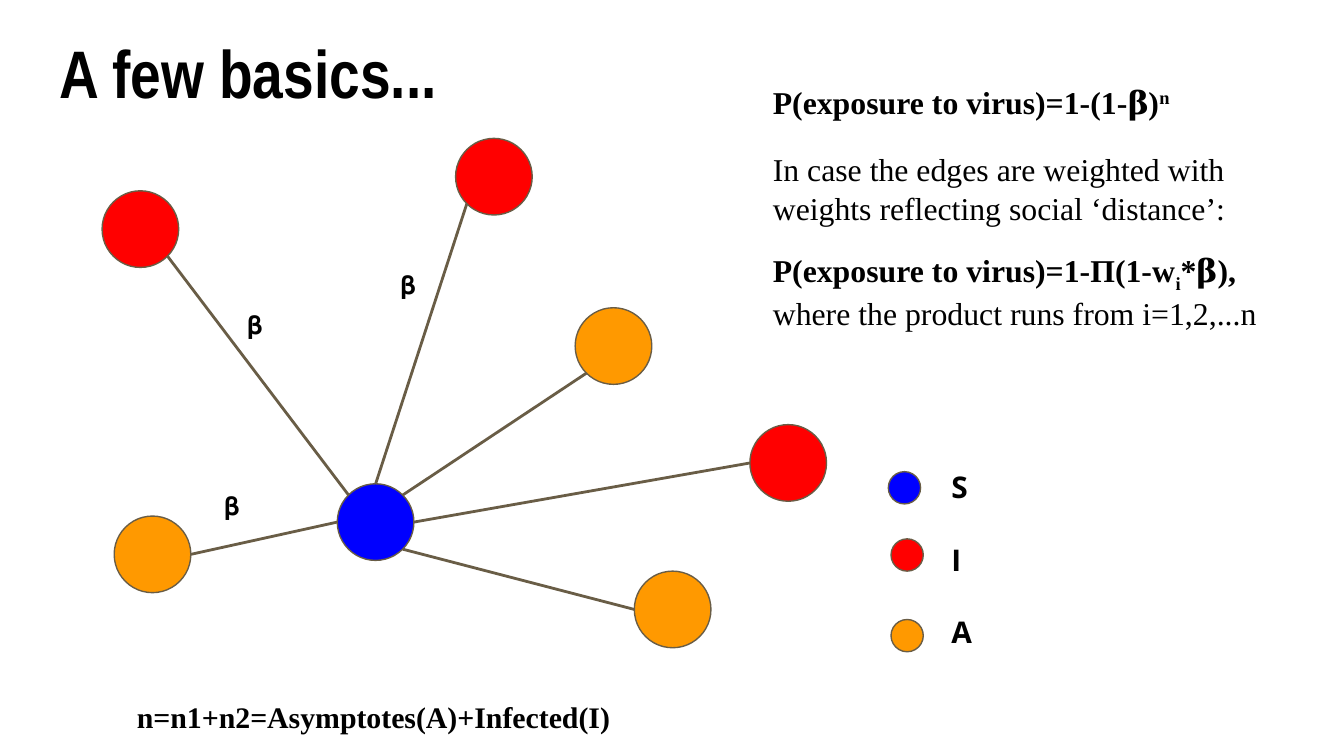
"""Build a slide on virus exposure in a weighted contact network."""
import math

from lxml import etree
from pptx import Presentation
from pptx import util as u
from pptx.dml.color import RGBColor
from pptx.enum import shapes, text
from pptx.oxml import ns

COLORS = {"S": "0000FF", "I": "FF0000", "A": "FF9900", "line": "695D46", "text": "000000"}
SIZE = 0.57
HUB = (2.51, 3.6)
NODES = [
    ("I", 0.76, 1.42, 45, 225),
    ("I", 3.39, 1.03, 135, 270),
    ("A", 4.28, 2.29, 135, 315),
    ("A", 0.85, 3.84, 0, 180),
    ("A", 4.72, 4.25, 180, 45),
    ("I", 5.58, 3.16, 180, 0),
]
BODY = [
    (0, 1.15, [("P(exposure to virus)=1-(1-𝛃)", True, 0), ("n", True, 30000)]),
    (16, 1.0, [("In case the edges are weighted with weights reflecting social ‘distance’:", False, 0)]),
    (13, 1.0, [("P(exposure to virus)=1-Π(1-w", True, 0), ("i", True, -25000),
               ("*𝛃), ", True, 0), ("where the product runs from i=1,2,...n", False, 0)]),
]
LABELS = [(2.88, 1.86, 0.32), (1.57, 3.51, 0.4), (1.74, 2.16, 0.32)]
LEGEND = [("S", 6.61, 3.51), ("I", 6.63, 4.01), ("A", 6.63, 4.61)]


def write(sp, box, lines, font, size, bold):
    sp.left, sp.top, sp.width, sp.height = [u.Inches(v) for v in box]
    tf = sp.text_frame
    tf.word_wrap = True
    tf.auto_size = text.MSO_AUTO_SIZE.NONE
    tf.vertical_anchor = text.MSO_ANCHOR.TOP
    tf.margin_left = tf.margin_right = tf.margin_top = tf.margin_bottom = u.Inches(0.1)
    tf.text = "\n".join(lines)
    for p in tf.paragraphs:
        p.alignment = text.PP_ALIGN.LEFT
        for r in p.runs:
            r.font.name, r.font.size, r.font.bold = font, u.Pt(size), bold
            r.font.color.rgb = RGBColor.from_string(COLORS["text"])
    return tf


def circle(kind, x, y, size, color):
    sp = s.shapes.add_shape(kind, u.Inches(x), u.Inches(y), u.Inches(size), u.Inches(size))
    sp.shadow.inherit = False
    sp.fill.solid()
    sp.fill.fore_color.rgb = RGBColor.from_string(COLORS[color])
    sp.line.color.rgb = RGBColor.from_string(COLORS["line"])
    sp.line.width = u.Pt(0.75)


prs = Presentation()
prs.slide_width = u.Inches(10)
prs.slide_height = u.Inches(10 * 9 / 16)
s = prs.slides.add_slide(prs.slide_layouts[1])

write(s.shapes.title, (0.34, 0.13, 9.32, 0.77), ["A few basics..."], "Arial Narrow", 36, True)

lines = ["".join(words for words, *_ in runs) for *_, runs in BODY]
tf = write(s.placeholders[1], (5.65, 0.47, 4.21, 2.18), lines, "Times New Roman", 17, False)
for p, (gap, spacing, runs) in zip(tf.paragraphs, BODY):
    p.clear()
    p.line_spacing = spacing
    p.space_before = u.Pt(gap)
    pPr = p._p.get_or_add_pPr()
    pPr.set("marL", "0")
    pPr.set("indent", "0")
    etree.SubElement(pPr, ns.qn("a:buNone"))
    for words, bold, shift in runs:
        r = p.add_run()
        r.text = words
        r.font.name, r.font.size, r.font.bold = "Times New Roman", u.Pt(17), bold
        r.font.color.rgb = RGBColor.from_string(COLORS["text"])
        if shift:
            r.font._element.set("baseline", str(shift))

for state, x, y, *_ in NODES:
    circle(shapes.MSO_SHAPE.FLOWCHART_CONNECTOR, x, y, SIZE, state)
circle(shapes.MSO_SHAPE.FLOWCHART_CONNECTOR, *HUB, SIZE, "S")

for state, x, y, node_angle, hub_angle in NODES:
    ends = []
    for left, top, angle in ((x, y, node_angle), (*HUB, hub_angle)):
        a = math.radians(angle)
        ends += [u.Inches(left + SIZE / 2 * (1 + math.cos(a))),
                 u.Inches(top + SIZE / 2 * (1 + math.sin(a)))]
    edge = s.shapes.add_connector(shapes.MSO_CONNECTOR.STRAIGHT, *ends)
    edge.line.color.rgb = RGBColor.from_string(COLORS["line"])
    edge.line.width = u.Pt(1.5)
    etree.SubElement(edge._element.spPr, ns.qn("a:effectLst"))

for x, y, w in LABELS:
    tf = write(s.shapes.add_textbox(0, 0, 0, 0), (x, y, w, 0.44), ["𝛃"], "Open Sans", 14, False)
    tf.paragraphs[0].line_spacing = 1.15

write(s.shapes.add_textbox(0, 0, 0, 0), (0.92, 5.1, 5.08, 0.33),
      ["n=n1+n2=Asymptotes(A)+Infected(I)"], "Times New Roman", 16, True)

names = [name for name, *_ in LEGEND]
tf = write(s.shapes.add_textbox(0, 0, 0, 0), (6.48, 3.39, 0.95, 1.6), names, "Open Sans", 16, True)
for i, p in enumerate(tf.paragraphs):
    p._p.get_or_add_pPr().set("marL", str(u.Inches(0.5)))
    p.space_before = u.Pt(19.5 if i else 0)
for name, x, y in LEGEND:
    circle(shapes.MSO_SHAPE.OVAL, x, y, 0.24, name)

prs.save("out.pptx")
